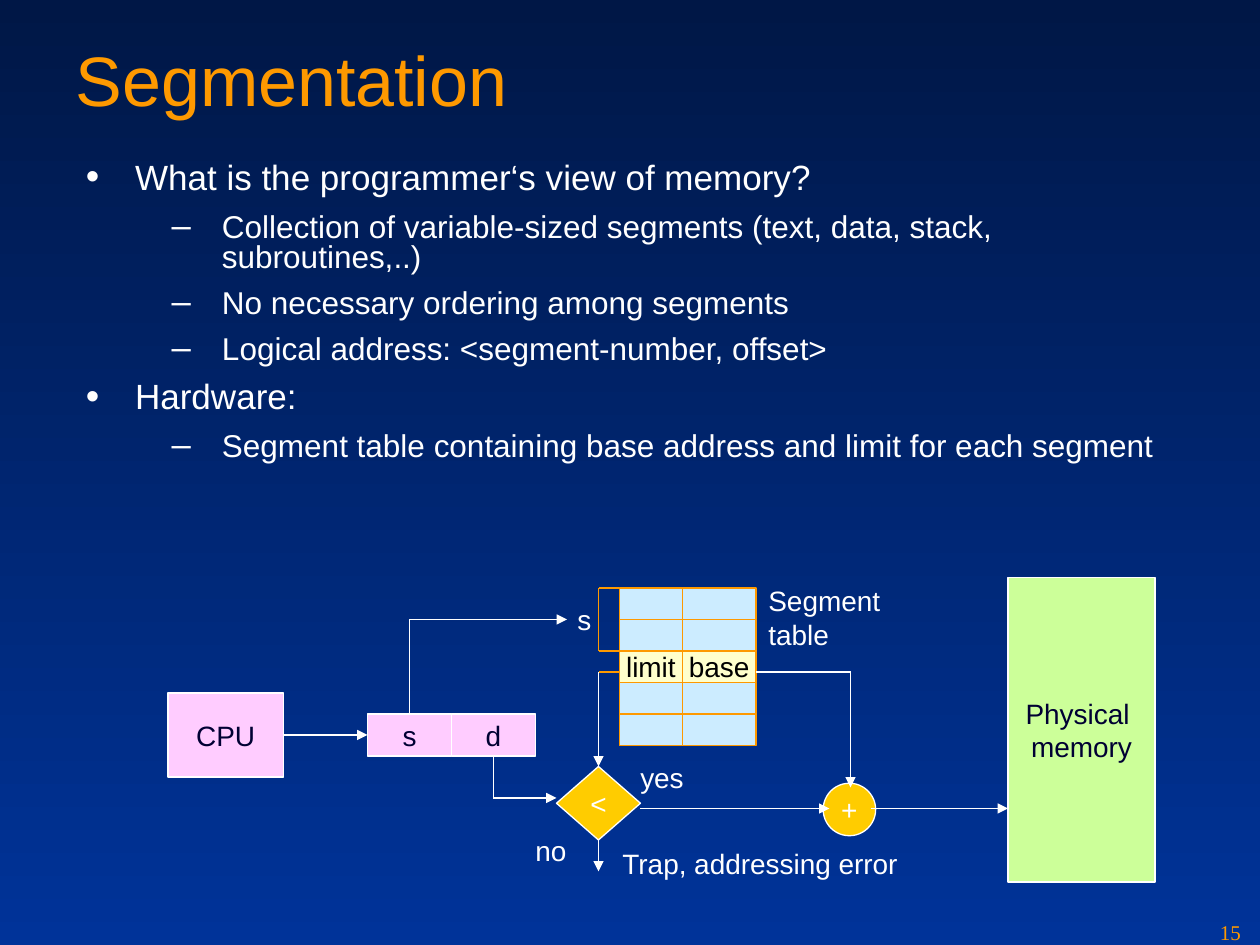
"""Build the segmentation slide: bullets above an address translation diagram."""
from itertools import pairwise

from lxml import etree
from pptx import Presentation
from pptx import util as u
from pptx.dml.color import RGBColor
from pptx.enum import shapes, text
from pptx.oxml.ns import qn

COLORS = {
    "top": "001746", "bottom": "003399", "orange": "FE9900", "white": "FFFFFF",
    "pink": "FFCCFF", "navy": "000033", "blue": "CCECFF", "cream": "FFFFCC",
    "black": "000000", "gold": "FFCC00", "green": "CCFF99",
}
UNIT = u.Inches(1) / 12
TITLE = "Segmentation"
PAGE_NUMBER = "15"
BULLETS = [
    (0, "What is the programmer‘s view of memory?"),
    (1, "Collection of variable-sized segments (text, data, stack, subroutines,..)"),
    (1, "No necessary ordering among segments"),
    (1, "Logical address: <segment-number, offset>"),
    (0, "Hardware:"),
    (1, "Segment table containing base address and limit for each segment"),
]
LEVELS = [
    {"mark": "•", "size": 20, "space": 5, "margin": 0.39, "indent": -0.39},
    {"mark": "–", "size": 18, "space": 4.5, "margin": 1.08, "indent": -0.4},
]
RECTANGLE = shapes.MSO_SHAPE.RECTANGLE
NODES = [
    (RECTANGLE, (16, 66, 11, 8), "pink", "navy", "CPU"),
    (RECTANGLE, (35, 68, 8, 4), "pink", "navy", "s"),
    (RECTANGLE, (43, 68, 8, 4), "pink", "navy", "d"),
    (shapes.MSO_SHAPE.DIAMOND, (53, 73, 8, 7), "gold", "white", "<"),
    (shapes.MSO_SHAPE.OVAL, (78.4, 74.6, 5, 5), "gold", "white", "+"),
    (RECTANGLE, (96, 55, 14, 29), "green", "navy", "Physical \vmemory"),
]
SEGMENT_TABLE = [("", ""), ("", ""), ("limit", "base"), ("", ""), ("", "")]
TABLE_TOP, ROW_HEIGHT = 56, 3
TABLE_COLUMNS = [(59, 6), (65, 7)]
PATHS = [
    ("white", True, [(27, 70), (35, 70)]),
    ("orange", False, [(59, 56), (57, 56), (57, 62), (59, 62)]),
    ("white", True, [(39, 68), (39, 59), (54, 59)]),
    ("orange", False, [(59, 64), (57, 64)]),
    ("white", True, [(57, 64), (57, 73)]),
    ("white", True, [(47, 72), (47, 76), (53, 76)]),
    ("white", True, [(57, 80), (57, 83)]),
    ("white", True, [(61, 77), (79, 77)]),
    ("white", True, [(72, 64), (81, 64), (81, 75)]),
    ("white", True, [(83, 77), (96, 77)]),
]
LABELS = [
    ((53.8, 56.8, 3.7, 4.4), "s"),
    ((58.1, 80, 28.7, 4.4), "Trap, addressing error"),
    ((72, 55, 13.8, 7.7), "Segment \vtable"),
    ((59.8, 71.8, 6.5, 4.4), "yes"),
    ((49.8, 78.8, 5.8, 4.4), "no"),
]


def color(name):
    return RGBColor.from_string(COLORS[name])


def grid(values):
    return [round(value * UNIT) for value in values]


def style(paragraph, size, name, font="Arial"):
    paragraph.font.size = u.Pt(size)
    paragraph.font.name = font
    paragraph.font.color.rgb = color(name)


def add_node(slide, kind, box, fill, ink, words, outline="white"):
    shape = slide.shapes.add_shape(kind, *grid(box))
    shape.shadow.inherit = False
    shape.fill.solid()
    shape.fill.fore_color.rgb = color(fill)
    shape.line.color.rgb = color(outline)
    shape.line.width = u.Pt(0.75)
    if words:
        frame = shape.text_frame
        frame.text = words
        frame.word_wrap = False
        frame.vertical_anchor = text.MSO_ANCHOR.MIDDLE
        frame.paragraphs[0].alignment = text.PP_ALIGN.CENTER
        style(frame.paragraphs[0], 16, ink)


def add_path(slide, name, arrow, points):
    for start, end in pairwise(points):
        line = slide.shapes.add_connector(
            shapes.MSO_CONNECTOR.STRAIGHT, *grid(start + end))
        line.line.color.rgb = color(name)
        line.line.width = u.Pt(0.75)
        properties = line._element.spPr
        etree.SubElement(properties, qn("a:effectLst"))
        if arrow and end == points[-1]:
            outline = properties.find(qn("a:ln"))
            etree.SubElement(outline, qn("a:tailEnd"), type="triangle")


def add_label(slide, box, words, size=16, name="white", font="Arial", wrap=False):
    frame = slide.shapes.add_textbox(*grid(box)).text_frame
    frame.word_wrap = wrap
    if not wrap:
        frame.auto_size = text.MSO_AUTO_SIZE.SHAPE_TO_FIT_TEXT
    frame.text = words
    style(frame.paragraphs[0], size, name, font)


def add_bullets(slide):
    frame = slide.shapes.add_textbox(*grid((7, 15, 106, 30))).text_frame
    frame.word_wrap = True
    for index, (level, words) in enumerate(BULLETS):
        look = LEVELS[level]
        paragraph = frame.add_paragraph() if index else frame.paragraphs[0]
        paragraph.text = words
        paragraph.level = level
        properties = paragraph._p.get_or_add_pPr()
        properties.set("marL", str(u.Inches(look["margin"])))
        properties.set("indent", str(u.Inches(look["indent"])))
        tint = etree.SubElement(properties, qn("a:buClr"))
        etree.SubElement(tint, qn("a:srgbClr"), val=COLORS["white"])
        etree.SubElement(properties, qn("a:buSzPct"), val="110000")
        etree.SubElement(properties, qn("a:buFont"), typeface="Arial")
        etree.SubElement(properties, qn("a:buChar"), char=look["mark"])
        paragraph.line_spacing = 0.8
        paragraph.space_before = u.Pt(look["space"] if index else 0)
        paragraph.space_after = u.Pt(look["space"])
        style(paragraph, look["size"], "white")


def add_segment_table(slide):
    for row, words in enumerate(SEGMENT_TABLE):
        for (left, width), word in zip(TABLE_COLUMNS, words):
            box = (left, TABLE_TOP + row * ROW_HEIGHT, width, ROW_HEIGHT)
            fill = "cream" if word else "blue"
            add_node(slide, RECTANGLE, box, fill, "black", word, "orange")


def main():
    presentation = Presentation()
    presentation.slide_width, presentation.slide_height = u.Inches(10), u.Inches(7.5)
    slide = presentation.slides.add_slide(presentation.slide_layouts[5])
    background = slide.background.fill
    background.gradient()
    background.gradient_angle = 270
    for stop, name in zip(background.gradient_stops, ("top", "bottom")):
        stop.color.rgb = color(name)

    title = slide.shapes.title
    title.left, title.top, title.width, title.height = grid((6, 2.9, 108, 15))
    title.text_frame.text = TITLE
    title.text_frame.vertical_anchor = text.MSO_ANCHOR.TOP
    title.text_frame.paragraphs[0].alignment = text.PP_ALIGN.LEFT
    style(title.text_frame.paragraphs[0], 40, "orange")

    add_bullets(slide)
    add_segment_table(slide)
    for node in NODES:
        add_node(slide, *node)
    for path in PATHS:
        add_path(slide, *path)
    for label in LABELS:
        add_label(slide, *label)
    add_label(slide, (115, 87, 5, 3), PAGE_NUMBER, 12, "orange", "Times New Roman", True)
    presentation.save("out.pptx")


if __name__ == "__main__":
    main()
